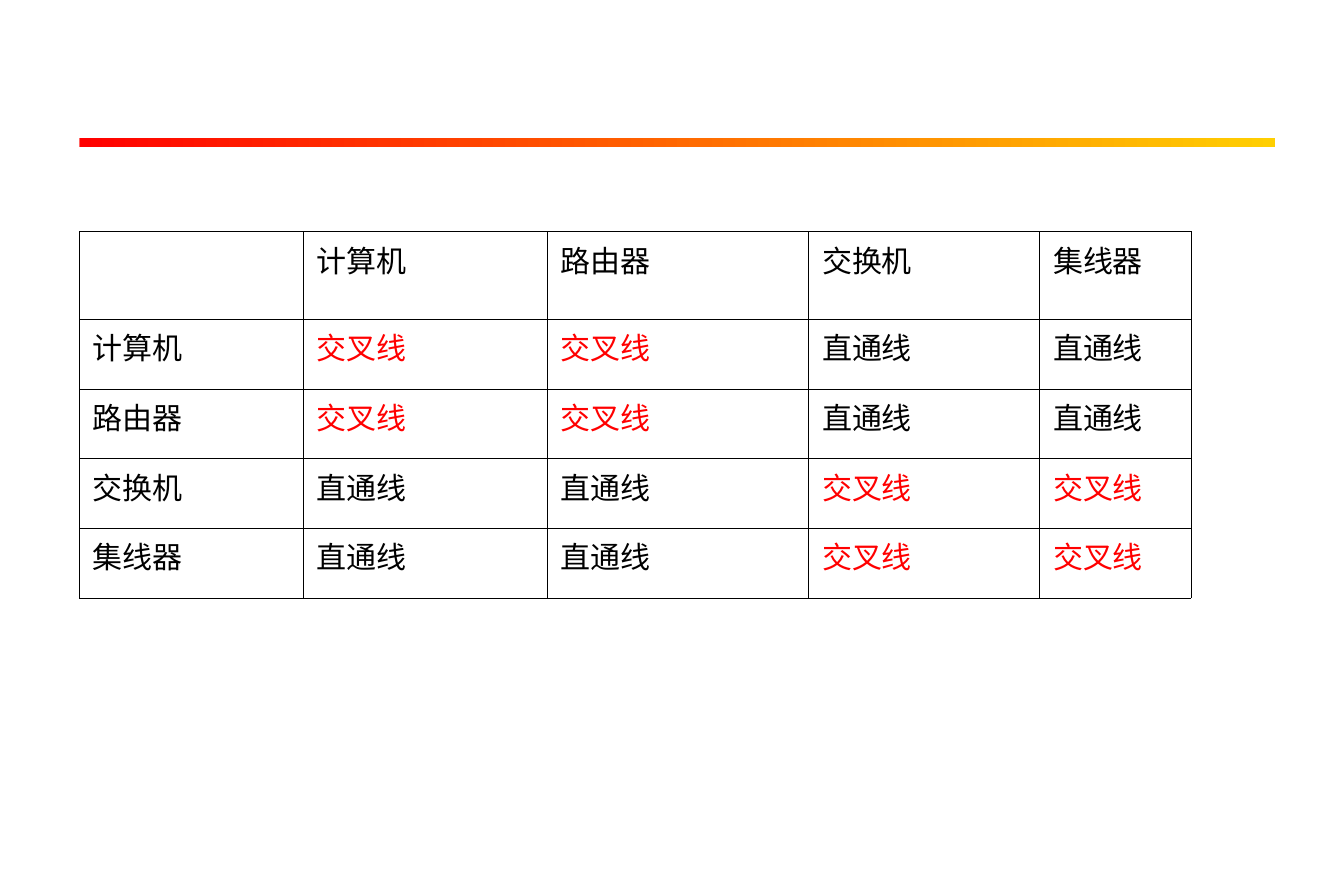
from lxml import etree
from pptx import Presentation
from pptx import util as u
from pptx.dml.color import RGBColor
from pptx.enum import shapes
from pptx.oxml import ns

BLACK = RGBColor(0x00, 0x00, 0x00)
RED = RGBColor(0xFF, 0x00, 0x00)
YELLOW = RGBColor(0xFF, 0xCF, 0x01)
FONT = "Times New Roman"

DEVICES = ["计算机", "路由器", "交换机", "集线器"]
CROSSOVER = "交叉线"
STRAIGHT = "直通线"
COLUMN_WIDTHS = [141.8, 154.1, 165.6, 146.2, 95.8]
ROW_HEIGHTS = [55.4] + [44.1] * 4


def write_text(frame, content, size=19, color=BLACK, hanging=21.6):
    paragraph = frame.paragraphs[0]
    properties = paragraph._p.get_or_add_pPr()
    properties.set("marL", str(u.Pt(hanging)))
    properties.set("indent", str(-u.Pt(hanging)))
    run = paragraph.add_run()
    run.text = content
    run.font.name = FONT
    run.font.size = u.Pt(size)
    run.font.color.rgb = color


def set_borders(cell, color=BLACK, width=0.45):
    properties = cell._tc.get_or_add_tcPr()
    for side in ("lnL", "lnR", "lnT", "lnB"):
        line = etree.SubElement(properties, ns.qn(f"a:{side}"), w=str(u.Pt(width)))
        fill = etree.SubElement(line, ns.qn("a:solidFill"))
        etree.SubElement(fill, ns.qn("a:srgbClr"), val=str(color))


def add_gradient_bar(slide, left, top, length, thickness):
    center_x = left + length / 2
    center_y = top + thickness / 2
    bar = slide.shapes.add_shape(
        shapes.MSO_SHAPE.CAN,
        u.Pt(center_x - thickness / 2), u.Pt(center_y - length / 2),
        u.Pt(thickness), u.Pt(length))
    bar.rotation = 270
    bar.adjustments[0] = 0.007
    bar.shadow.inherit = False
    bar.line.fill.background()
    bar.fill.gradient()
    bar.fill.gradient_angle = 90
    for stop, color in zip(bar.fill.gradient_stops, (YELLOW, RED)):
        stop.color.rgb = color


def cable_rows():
    yield [""] + DEVICES
    for row, device in enumerate(DEVICES):
        yield [device] + [
            CROSSOVER if row // 2 == column // 2 else STRAIGHT
            for column in range(len(DEVICES))]


def add_cable_table(slide, left, top):
    table = slide.shapes.add_table(
        len(ROW_HEIGHTS), len(COLUMN_WIDTHS), u.Pt(left), u.Pt(top),
        u.Pt(sum(COLUMN_WIDTHS)), u.Pt(sum(ROW_HEIGHTS))).table
    table.first_row = False
    table.horz_banding = False
    for column, width in zip(table.columns, COLUMN_WIDTHS):
        column.width = u.Pt(width)
    for row, height, values in zip(table.rows, ROW_HEIGHTS, cable_rows()):
        row.height = u.Pt(height)
        for cell, value in zip(row.cells, values):
            cell.margin_left = cell.margin_right = u.Pt(8.5)
            cell.margin_top = cell.margin_bottom = u.Pt(3.6)
            set_borders(cell)
            cell.fill.background()
            if value:
                write_text(cell.text_frame, value,
                           color=RED if value == CROSSOVER else BLACK)


def main():
    presentation = Presentation()
    presentation.slide_width = u.Pt(850.4)
    presentation.slide_height = u.Pt(566.9)
    slide = presentation.slides.add_slide(presentation.slide_layouts[6])
    add_gradient_bar(slide, left=50.2, top=87.2, length=756.5, thickness=5.8)
    add_cable_table(slide, left=50.2, top=146.6)
    presentation.save("out.pptx")


if __name__ == "__main__":
    main()
